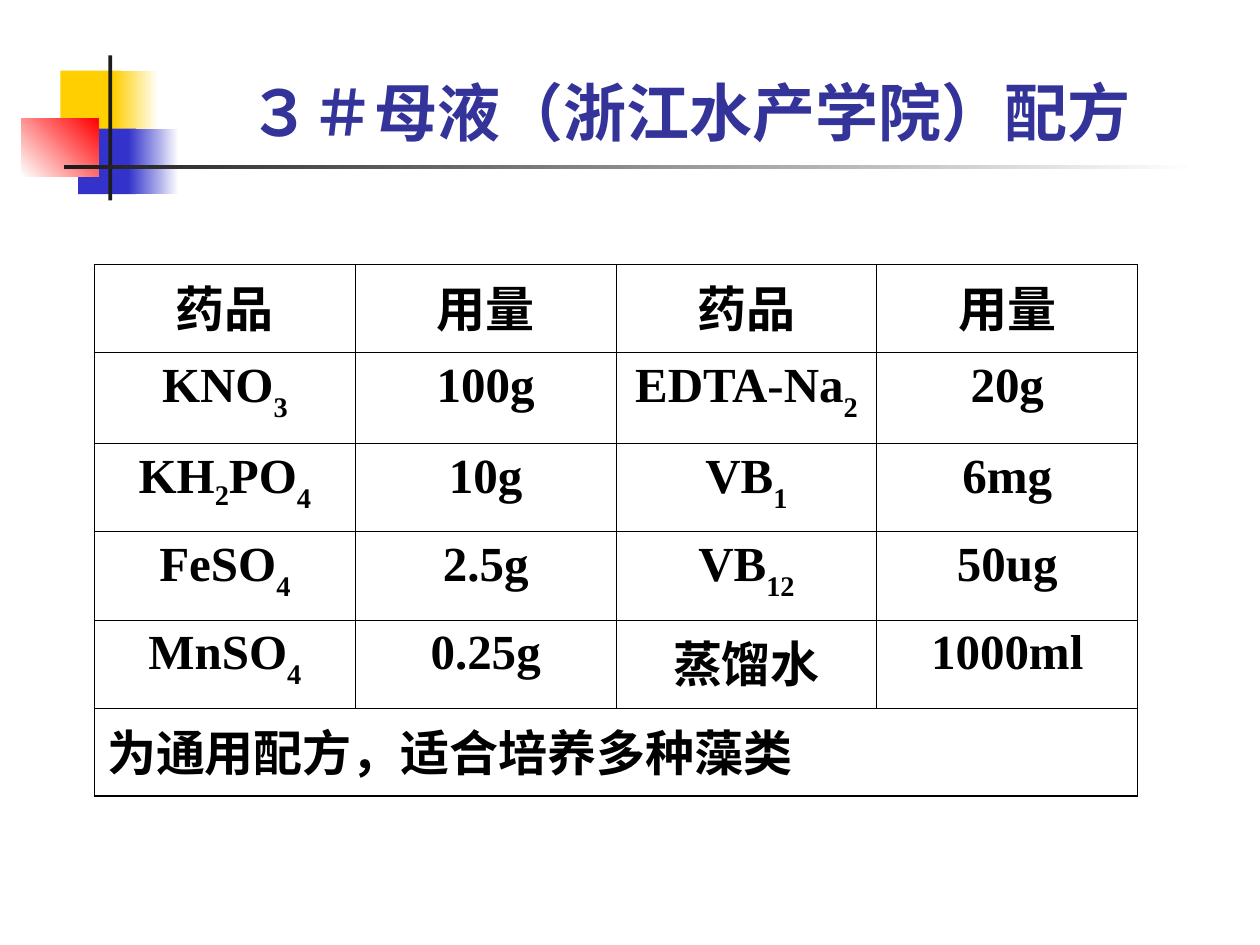
"""Build the stock solution recipe slide with its bordered table."""
from lxml.etree import SubElement
from pptx import Presentation
from pptx.dml.color import RGBColor
from pptx.enum.shapes import MSO_SHAPE
from pptx.enum.text import MSO_ANCHOR, PP_ALIGN
from pptx.oxml import parse_xml
from pptx.oxml.ns import nsdecls, qn
from pptx.util import Inches, Pt

THEME = {
    "yellow": "FFCF01", "blue": "3333CC", "red": "FF0000", "white": "FFFFFF",
    "dark": "1C1C1C", "title": "333399", "text": "000000",
    "title_size": 36, "cell_size": 28,
    "cjk_font": "Lato", "body_font": "Times New Roman",
    "outer": 1.08, "inner": 0.45,
}
TITLE = "３＃母液（浙江水产学院）配方"
ROWS = [
    ("药品", "用量", "药品", "用量"),
    ("KNO_3", "100g", "EDTA-Na_2", "20g"),
    ("KH_2_PO_4", "10g", "VB_1", "6mg"),
    ("FeSO_4", "2.5g", "VB_12", "50ug"),
    ("MnSO_4", "0.25g", "蒸馏水", "1000ml"),
    ("为通用配方，适合培养多种藻类",),
]
ROW_HEIGHTS = [0.7, 0.72, 0.7, 0.7, 0.7, 0.7]
COLS, COL_WIDTH = 4, 2.07
DECOR = [
    ((0.48, 0.56, 0.48, 0.52), ("yellow",), 0),
    ((0.9, 0.56, 0.36, 0.52), ("yellow", "white"), 0),
    ((0.62, 1.02, 0.46, 0.52), ("blue",), 0),
    ((1.02, 1.02, 0.4, 0.52), ("blue", "white"), 0),
    ((0.17, 0.94, 0.61, 0.46), ("white", "red"), 45),
    ((0.86, 0.44, 0.03, 1.15), ("dark",), 0),
    ((0.51, 1.31, 9, 0.03), ("dark", "white"), 0),
]


def color(name):
    return RGBColor.from_string(THEME[name])


def add_block(s, box, colors, angle):
    sp = s.shapes.add_shape(MSO_SHAPE.RECTANGLE, *map(Inches, box))
    sp.shadow.inherit = False
    sp.line.fill.background()
    if len(colors) == 1:
        sp.fill.solid()
        sp.fill.fore_color.rgb = color(colors[0])
        return
    sp.fill.gradient()
    sp.fill.gradient_angle = angle
    for stop, name in zip(sp.fill.gradient_stops, colors):
        stop.color.rgb = color(name)


def add_run(p, text, font, size, name):
    r = p.add_run()
    r.text = text
    r.font.name, r.font.size, r.font.bold = font, Pt(size), True
    r.font.color.rgb = color(name)
    return r


def add_title(s):
    tf = s.shapes.add_textbox(*map(Inches, (1.38, 0.36, 8.19, 0.87))).text_frame
    tf.word_wrap = True
    tf.vertical_anchor = MSO_ANCHOR.BOTTOM
    p = tf.paragraphs[0]
    p.alignment = PP_ALIGN.CENTER
    add_run(p, TITLE, THEME["cjk_font"], THEME["title_size"], "title")


def set_borders(cell, outer_sides):
    tcPr = cell._tc.get_or_add_tcPr()
    for i, side in enumerate("LRTB"):
        width = Pt(THEME["outer" if side in outer_sides else "inner"])
        ln = parse_xml(f'<a:ln{side} {nsdecls("a")} w="{int(width)}"/>')
        fill = SubElement(ln, qn("a:solidFill"))
        SubElement(fill, qn("a:srgbClr"), val=THEME["text"])
        tcPr.insert(i, ln)


def fill_cell(cell, text, font, align):
    p = cell.text_frame.paragraphs[0]
    p.alignment = align
    parts = text.split("_")
    for i, part in enumerate(parts):
        r = add_run(p, part, font, THEME["cell_size"], "text")
        if i % 2:
            last = i == len(parts) - 1
            r._r.get_or_add_rPr().set("baseline", "-30000" if last else "-25000")


def add_recipe(s):
    box = (0.75, 2.1, COLS * COL_WIDTH, sum(ROW_HEIGHTS))
    table = s.shapes.add_table(len(ROWS), COLS, *map(Inches, box)).table
    table.first_row = table.horz_banding = False
    for col in table.columns:
        col.width = Inches(COL_WIDTH)
    for i, (row, height) in enumerate(zip(ROWS, ROW_HEIGHTS)):
        table.rows[i].height = Inches(height)
        spans = len(row) == 1
        if spans:
            table.cell(i, 0).merge(table.cell(i, COLS - 1))
        for j in range(COLS):
            cell = table.cell(i, j)
            cell.fill.background()
            edges = {"L": j == 0, "R": spans or j == COLS - 1,
                     "T": i == 0, "B": i == len(ROWS) - 1}
            set_borders(cell, [side for side, outer in edges.items() if outer])
        font = THEME["body_font" if i else "cjk_font"]
        align = PP_ALIGN.LEFT if spans else PP_ALIGN.CENTER
        for j, text in enumerate(row):
            fill_cell(table.cell(i, j), text, font, align)


def main():
    prs = Presentation()
    prs.slide_width, prs.slide_height = Inches(10), Inches(7.5)
    s = prs.slides.add_slide(prs.slide_layouts[6])
    for block in DECOR:
        add_block(s, *block)
    add_title(s)
    add_recipe(s)
    prs.save("out.pptx")


if __name__ == "__main__":
    main()
